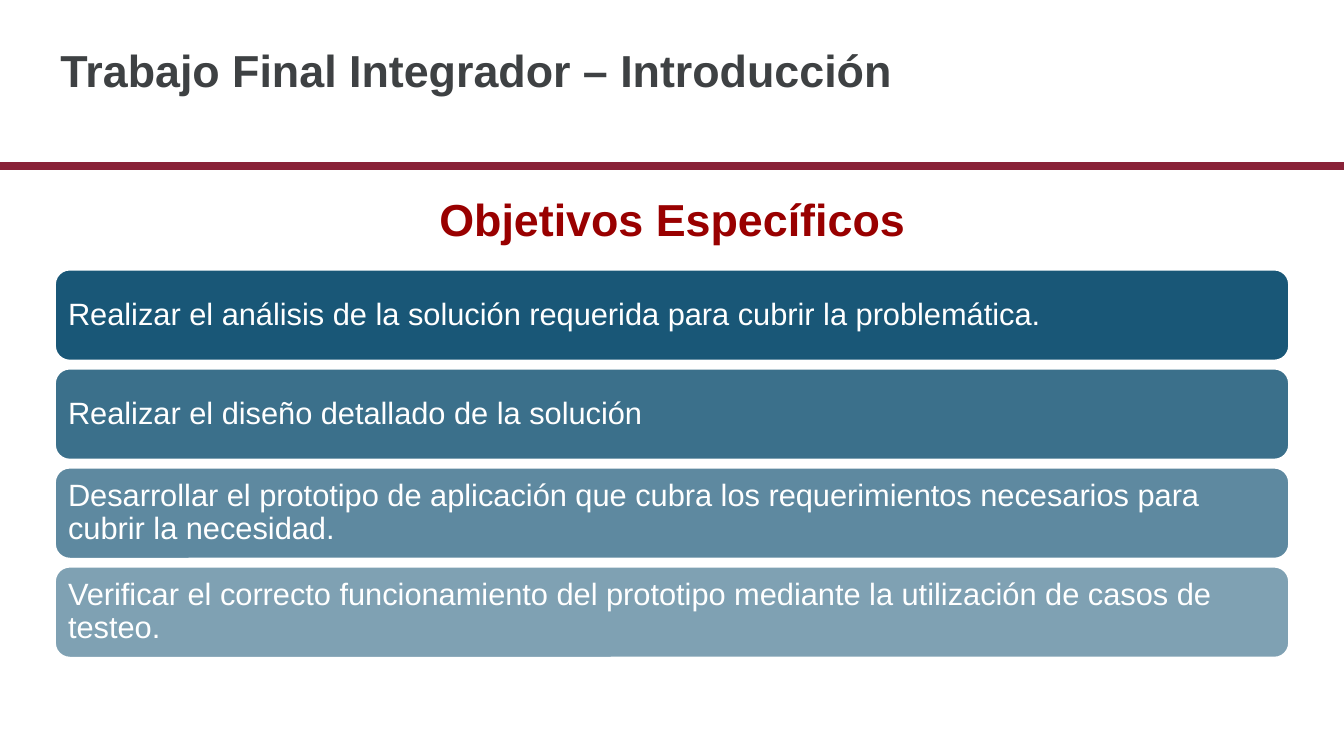
from dataclasses import dataclass

from lxml.etree import SubElement
from pptx import Presentation
from pptx.dml.color import RGBColor
from pptx.enum.shapes import MSO_SHAPE
from pptx.enum.text import MSO_ANCHOR, PP_ALIGN
from pptx.oxml.ns import qn
from pptx.util import Inches, Pt


@dataclass(frozen=True)
class Theme:
    font: str = "Arial"
    title_color: str = "3E4143"
    heading_color: str = "990000"
    rule_color: str = "892238"
    card_color: str = "004569"
    white: str = "FFFFFF"
    title_size: int = 32
    card_size: int = 22
    line_width: int = 2


THEME = Theme()
OBJECTIVES = [
    "Realizar el análisis de la solución requerida para cubrir la problemática.",
    "Realizar el diseño detallado de la solución",
    "Desarrollar el prototipo de aplicación que cubra los requerimientos necesarios para cubrir la necesidad.",
    "Verificar el correcto funcionamiento del prototipo mediante la utilización de casos de testeo.",
]
CARD_OPACITIES = [90, 77, 63, 50]


def write_text(shape, text, size, color, margins, bold=False, anchor=MSO_ANCHOR.TOP,
               alignment=PP_ALIGN.LEFT, line_spacing=1.0):
    frame = shape.text_frame
    frame.word_wrap = True
    frame.vertical_anchor = anchor
    frame.margin_left, frame.margin_top, frame.margin_right, frame.margin_bottom = map(Inches, margins)
    paragraph = frame.paragraphs[0]
    paragraph.alignment = alignment
    paragraph.line_spacing = line_spacing
    run = paragraph.add_run()
    run.text = text
    run.font.name = THEME.font
    run.font.size = Pt(size)
    run.font.bold = bold
    run.font.color.rgb = RGBColor.from_string(color)


def add_panel(slide, preset, box, fill, line, opacity=100):
    shape = slide.shapes.add_shape(preset, *map(Inches, box))
    shape.shadow.inherit = False
    shape.fill.solid()
    shape.fill.fore_color.rgb = RGBColor.from_string(fill)
    shape.line.color.rgb = RGBColor.from_string(line)
    shape.line.width = Pt(THEME.line_width)
    if opacity < 100:
        color = shape.fill._xPr.find(qn("a:solidFill"))[0]
        SubElement(color, qn("a:alpha")).set("val", str(opacity * 1000))
    return shape


def add_header(slide, box):
    left, top, width, height = box
    add_panel(slide, MSO_SHAPE.RECTANGLE, (left, top + height - 0.05, width, 0.05),
              THEME.rule_color, THEME.rule_color)
    title = slide.shapes.add_textbox(*map(Inches, (left + 0.38, top + 0.08, 10.75, 0.93)))
    write_text(title, "Trabajo Final Integrador – Introducción", THEME.title_size,
               THEME.title_color, (0.22, 0.05, 0.1, 0.05), bold=True, anchor=MSO_ANCHOR.BOTTOM)


def add_heading(slide, box):
    heading = slide.shapes.add_textbox(*map(Inches, box))
    write_text(heading, "Objetivos Específicos", THEME.title_size, THEME.heading_color,
               (0.1, 0.1, 0.1, 0.05), bold=True, alignment=PP_ALIGN.CENTER, line_spacing=0.8)


def add_objectives(slide, box, gap=0.07):
    left, top, width, height = box
    card_height = (height - gap * (len(OBJECTIVES) - 1)) / len(OBJECTIVES)
    for index, (text, opacity) in enumerate(zip(OBJECTIVES, CARD_OPACITIES)):
        card_box = (left, top + index * (card_height + gap), width, card_height)
        card = add_panel(slide, MSO_SHAPE.ROUNDED_RECTANGLE, card_box,
                         THEME.card_color, THEME.white, opacity)
        write_text(card, text, THEME.card_size, THEME.white, (0.09, 0.09, 0.09, 0.09),
                   anchor=MSO_ANCHOR.MIDDLE, line_spacing=0.9)


def main():
    presentation = Presentation()
    presentation.slide_width = Inches(13.33)
    presentation.slide_height = Inches(7.5)
    slide = presentation.slides.add_slide(presentation.slide_layouts[6])
    add_header(slide, (0, 0, 13.33, 1.67))
    add_heading(slide, (2.86, 1.91, 7.62, 0.7))
    add_objectives(slide, (0.54, 2.67, 12.25, 3.86))
    presentation.save("out.pptx")


if __name__ == "__main__":
    main()
